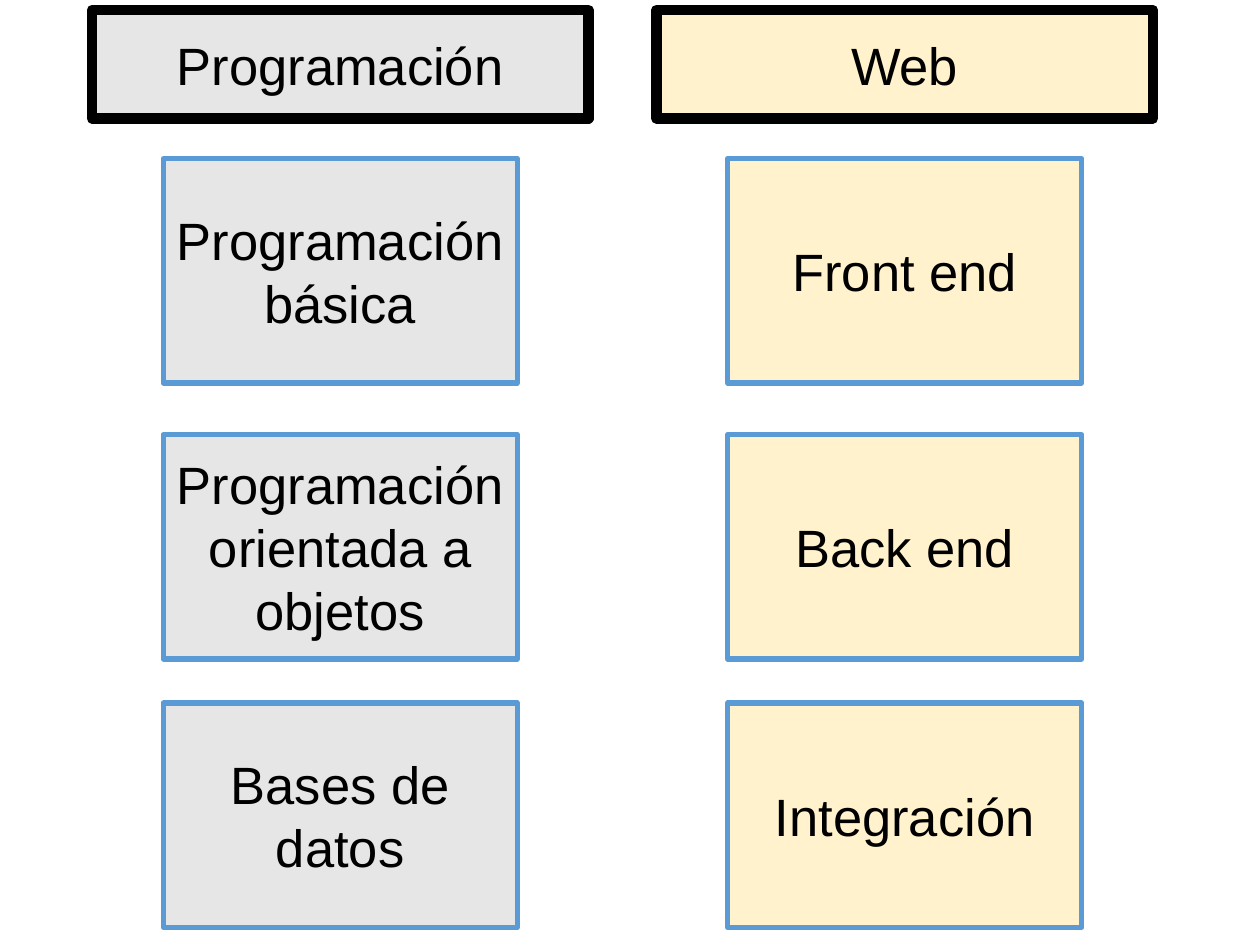
from pptx import Presentation
from pptx import util as u
from pptx.dml.color import RGBColor
from pptx.enum import shapes, text

COLORS = {"gray": "E7E6E6", "cream": "FFF2CC", "blue": "5B9BD5", "black": "000000"}
COLUMN_WIDTH, HEADER_HEIGHT = 3.94, 0.86
TOPIC_WIDTH, TOPIC_HEIGHT = 2.81, 1.78
TOPIC_TOPS = (1.18, 3.37, 5.5)
COLUMNS = (
    (0.73, "gray", "Programación",
     ("Programación básica", "Programación orientada a objetos", "Bases de datos")),
    (5.21, "cream", "Web", ("Front end", "Back end", "Integración")),
)


def rgb(name):
    """Return the palette colour with the given name."""
    return RGBColor.from_string(COLORS[name])


def write(frame, words, size=30, font="Arial", color="black"):
    """Put centred, wrapped text in a text frame."""
    frame.word_wrap = True
    frame.vertical_anchor = text.MSO_ANCHOR.MIDDLE
    frame.margin_left = frame.margin_right = u.Inches(0.1)
    frame.margin_top = frame.margin_bottom = u.Inches(0.1)
    paragraph = frame.paragraphs[0]
    paragraph.alignment = text.PP_ALIGN.CENTER
    run = paragraph.add_run()
    run.text = words
    run.font.size = u.Pt(size)
    run.font.name = font
    run.font.color.rgb = rgb(color)


def add_card(slide, box, words, fill, border, border_width):
    """Draw one bordered rectangle with its label."""
    card = slide.shapes.add_shape(
        shapes.MSO_SHAPE.RECTANGLE, *(u.Inches(length) for length in box))
    card.shadow.inherit = False
    card.fill.solid()
    card.fill.fore_color.rgb = rgb(fill)
    card.line.color.rgb = rgb(border)
    card.line.width = u.Pt(border_width)
    write(card.text_frame, words)


def add_column(slide, left, top, width, fill, heading, topics):
    """Draw a heading with its topics centred below it."""
    topic_left = left + (width - TOPIC_WIDTH) / 2
    for topic, offset in zip(topics, TOPIC_TOPS):
        box = (topic_left, top + offset, TOPIC_WIDTH, TOPIC_HEIGHT)
        add_card(slide, box, topic, fill, "blue", 3)
    add_card(slide, (left, top, width, HEADER_HEIGHT), heading, fill, "black", 6)


def main():
    """Build and save the slide."""
    deck = Presentation()
    deck.slide_width, deck.slide_height = u.Inches(10), u.Inches(7.5)
    slide = deck.slides.add_slide(deck.slide_layouts.get_by_name("Blank"))
    for left, fill, heading, topics in COLUMNS:
        add_column(slide, left, 0.08, COLUMN_WIDTH, fill, heading, topics)
    deck.save("out.pptx")


if __name__ == "__main__":
    main()
